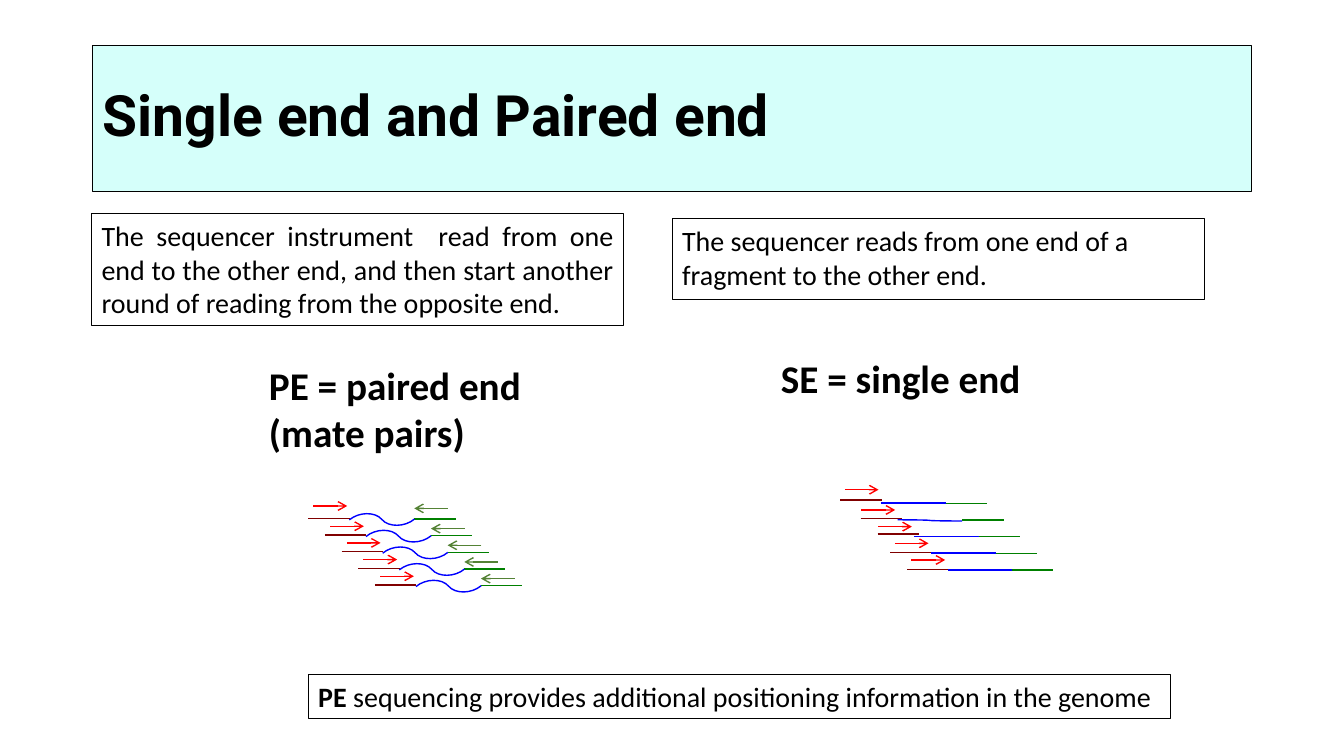
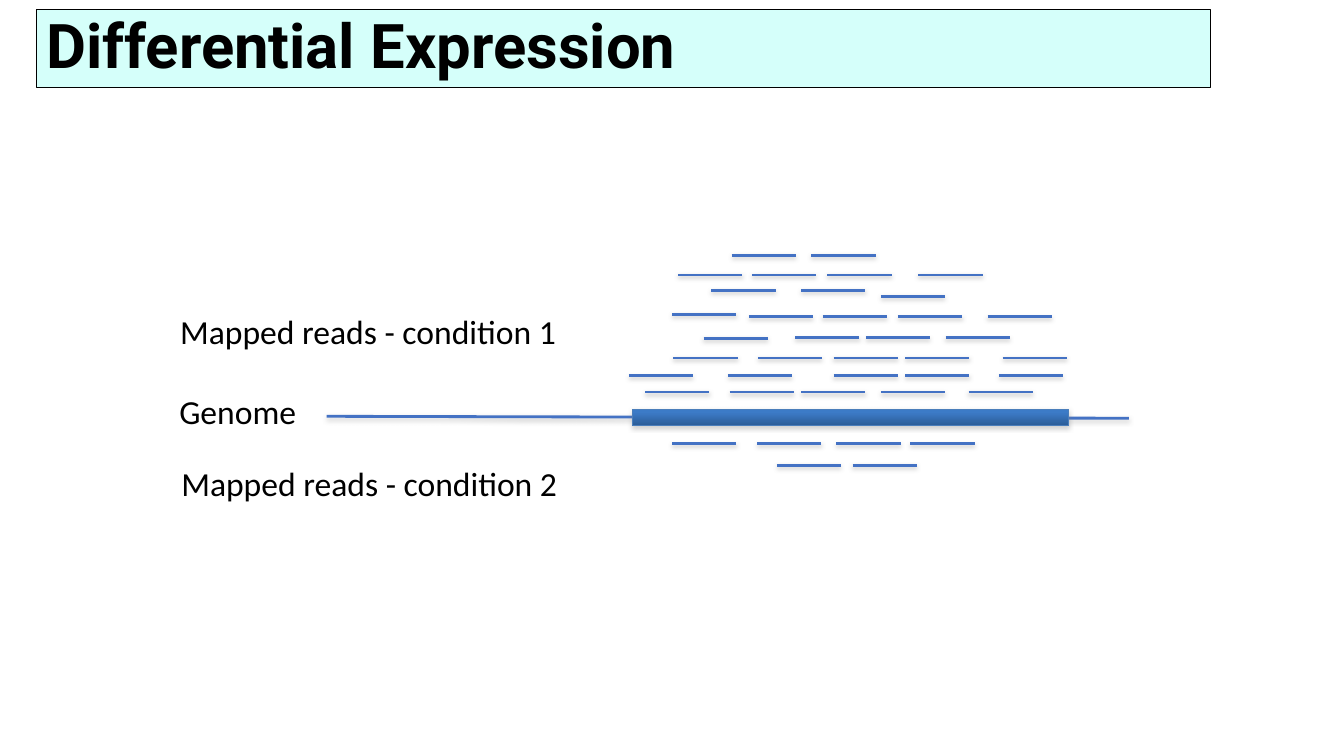
from dataclasses import dataclass
from typing import Any, NamedTuple, Optional

from lxml import etree
from pptx import Presentation, util as u
from pptx.dml.color import RGBColor
from pptx.enum import shapes, text
from pptx.oxml import ns


@dataclass(frozen=True)
class Theme:
    title_font: str = "Roboto"
    body_font: str = "Calibri"
    ink: str = "000000"
    band: str = "D5FFFA"
    left_end: str = "800000"
    right_end: str = "008000"
    insert: str = "0000FF"
    forward_read: str = "FF0000"
    reverse_read: str = "548235"
    mapped_read: str = "4472C4"
    gene_top: str = "3C7BC7"
    gene_bottom: str = "2C5D98"
    gene_edge: str = "4A7EBB"
    shadow: str = "808080"
    note_size: float = 20
    label_size: float = 24
    heading_size: float = 28
    outline: float = 0.75
    fragment_line: float = 1
    read_line: float = 2


class Box(NamedTuple):
    left: float
    top: float
    width: float
    height: float

    def lengths(self) -> list[u.Length]:
        return [u.Cm(value) for value in self]


@dataclass(frozen=True)
class Caption:
    box: Box
    lines: tuple[tuple[str, ...], ...]
    size: float
    bold: bool = False
    framed: bool = False
    wrap: bool = False
    align: text.PP_ALIGN = text.PP_ALIGN.LEFT


class Stroke(NamedTuple):
    x1: float
    y1: float
    x2: float
    y2: float
    color: str
    width: float
    curved: bool = False
    rotation: int = 0
    arrow: bool = False


class ReadRow(NamedTuple):
    y: float
    starts: tuple[float, ...]


THEME = Theme()
STEP = 0.42
END_LENGTH = 1.04
ARROW_LENGTH = 0.85
INSERT_LENGTH = 1.63
ARROW_LIFTS = (0.09, 0, 0, 0, 0)
SINGLE_LEFT_ENDS = ((21.18, 12.6), (21.69, 13.06), (22.12, 13.46), (22.43, 13.92), (22.86, 14.35))
READ_LENGTH = 1.62
READ_ROWS = (
    ReadRow(6.43, (18.44, 20.45)),
    ReadRow(6.93, (17.09, 18.95, 20.85, 23.14)),
    ReadRow(7.32, (17.93, 20.19)),
    ReadRow(7.47, (22.2,)),
    ReadRow(7.92, (16.94,)),
    ReadRow(7.98, (18.87, 20.73, 22.63, 24.89)),
    ReadRow(8.51, (20.04, 21.82, 23.83)),
    ReadRow(8.53, (17.73,)),
    ReadRow(9.02, (16.97, 19.1, 21.01, 22.81, 25.27)),
    ReadRow(9.47, (15.85, 18.34, 21.01, 22.81, 25.17)),
    ReadRow(9.88, (16.26, 18.39, 20.19, 22.2, 24.41)),
    ReadRow(11.18, (16.94, 19.08, 21.08, 22.94)),
    ReadRow(11.73, (19.58, 21.49)),
)
SEQUENCING_CAPTIONS = (
    Caption(Box(19.43, 8.81, 6.6, 1.45), (("SE = single end",),), THEME.heading_size, bold=True),
    Caption(Box(6.53, 8.99, 7.16, 2.64), (("PE = paired end",), ("(mate pairs)",)),
            THEME.heading_size, bold=True),
    Caption(Box(16.94, 5.51, 13.41, 2.03),
            (("The sequencer reads from one end of a fragment to the other end.",),),
            THEME.note_size, framed=True, wrap=True),
    Caption(Box(2.31, 5.38, 13.41, 2.82),
            (("The sequencer instrument  read from one end to the other end, "
              "and then start another round of reading from the opposite end.",),),
            THEME.note_size, framed=True, wrap=True, align=text.PP_ALIGN.JUSTIFY),
    Caption(Box(7.77, 16.99, 21.72, 1.12),
            (("PE", " sequencing provides additional positioning information in the genome"),),
            THEME.note_size, framed=True),
)
EXPRESSION_CAPTIONS = (
    Caption(Box(4.29, 7.72, 10.08, 1.28), (("Mapped reads - condition 1",),), THEME.label_size),
    Caption(Box(4.27, 9.73, 3.48, 1.28), (("Genome",),), THEME.label_size),
    Caption(Box(4.32, 11.53, 10.08, 1.28), (("Mapped reads - condition 2",),), THEME.label_size),
)


def rgb(color: str) -> RGBColor:
    return RGBColor.from_string(color)


def set_font(font: Any, name: str, size: float, bold: bool) -> None:
    font.name = name
    font.size = u.Pt(size)
    font.bold = bold
    font.color.rgb = rgb(THEME.ink)


def set_outline(shape: Any, color: str, width: float) -> None:
    shape.line.color.rgb = rgb(color)
    shape.line.width = u.Pt(width)


def add_titled_slide(deck: Any, title: str, box: Box, size: float) -> Any:
    slide = deck.slides.add_slide(deck.slide_layouts[5])
    band = slide.shapes.title
    band.left, band.top, band.width, band.height = box.lengths()
    band.fill.solid()
    band.fill.fore_color.rgb = rgb(THEME.band)
    set_outline(band, THEME.ink, THEME.outline)
    frame = band.text_frame
    frame.text = title
    frame.word_wrap = True
    frame.auto_size = text.MSO_AUTO_SIZE.NONE
    frame.vertical_anchor = text.MSO_ANCHOR.MIDDLE
    heading = frame.paragraphs[0]
    heading.alignment = text.PP_ALIGN.LEFT
    heading.line_spacing = 0.9
    set_font(heading.runs[0].font, THEME.title_font, size, True)
    return slide


def add_caption(slide: Any, caption: Caption) -> None:
    holder = slide.shapes.add_textbox(*caption.box.lengths())
    if caption.framed:
        set_outline(holder, THEME.ink, THEME.outline)
    frame = holder.text_frame
    frame.word_wrap = caption.wrap
    frame.auto_size = text.MSO_AUTO_SIZE.SHAPE_TO_FIT_TEXT
    for index, parts in enumerate(caption.lines):
        paragraph = frame.add_paragraph() if index else frame.paragraphs[0]
        paragraph.alignment = caption.align
        for position, part in enumerate(parts):
            run = paragraph.add_run()
            run.text = part
            lead_in = len(parts) > 1 and position == 0
            set_font(run.font, THEME.body_font, caption.size, caption.bold or lead_in)


def add_shadow(effects: Any, alpha: int, distance: float) -> None:
    shadow = etree.SubElement(effects, ns.qn("a:outerShdw"), blurRad=str(u.Pt(3.1)),
                              dist=str(u.Pt(distance)), dir="5400000", rotWithShape="0")
    color = etree.SubElement(shadow, ns.qn("a:srgbClr"), val=THEME.shadow)
    etree.SubElement(color, ns.qn("a:alpha"), val=str(alpha * 1000))


def add_stroke(canvas: Any, stroke: Stroke, shadow_alpha: Optional[int] = None) -> None:
    kind = shapes.MSO_CONNECTOR.CURVE if stroke.curved else shapes.MSO_CONNECTOR.STRAIGHT
    ends = [u.Cm(value) for value in stroke[:4]]
    connector = canvas.add_connector(kind, *ends)
    set_outline(connector, stroke.color, stroke.width)
    properties = connector.element.spPr
    if stroke.rotation:
        properties.find(ns.qn("a:xfrm")).set("rot", str(stroke.rotation * 60000))
    if stroke.arrow:
        etree.SubElement(properties.find(ns.qn("a:ln")), ns.qn("a:tailEnd"), type="arrow")
    effects = etree.SubElement(properties, ns.qn("a:effectLst"))
    if shadow_alpha:
        add_shadow(effects, shadow_alpha, 1.6)


def flat(x: float, y: float, length: float, color: str, arrow: bool = False) -> Stroke:
    return Stroke(x, y, x + length, y, color, THEME.fragment_line, arrow=arrow)


def paired_fragment(index: int, lift: float) -> list[Stroke]:
    shift = index * STEP
    insert_end, insert_start = 8.81 + shift, 10.44 + shift
    return [
        flat(insert_start, 13.08 + shift, END_LENGTH, THEME.right_end),
        Stroke(10.26 + shift, 13.61 + shift, 8.99 + shift, 12.57 + shift, THEME.insert,
               THEME.fragment_line, curved=True, rotation=320),
        flat(insert_end - END_LENGTH, 13.06 + shift, END_LENGTH, THEME.left_end),
        flat(insert_start + ARROW_LENGTH, 12.9 + shift - lift, -ARROW_LENGTH,
             THEME.reverse_read, arrow=True),
        flat(7.9 + shift, 12.84 + shift - lift, ARROW_LENGTH, THEME.forward_read, arrow=True),
    ]


def single_fragment(index: int, lift: float) -> list[Stroke]:
    shift = index * STEP
    x, y = 23.83 + shift, 12.68 + shift
    drop = 0.03 if index == 1 else 0
    return [
        flat(x, y, END_LENGTH, THEME.right_end),
        Stroke(x, y + drop, x - INSERT_LENGTH, y, THEME.insert, THEME.fragment_line, curved=True),
        flat(*SINGLE_LEFT_ENDS[index], END_LENGTH, THEME.left_end),
        flat(21.29 + shift, 12.43 + shift - lift, ARROW_LENGTH, THEME.forward_read, arrow=True),
    ]


def add_gene(slide: Any) -> None:
    gene = slide.shapes.add_shape(shapes.MSO_SHAPE.RECTANGLE, *Box(15.93, 10.31, 11, 0.41).lengths())
    gene.fill.gradient()
    gene.fill.gradient_angle = 270
    stops = ((0.2, THEME.gene_top), (1, THEME.gene_bottom))
    for stop, (position, color) in zip(gene.fill.gradient_stops, stops):
        stop.position = position
        stop.color.rgb = rgb(color)
    set_outline(gene, THEME.gene_edge, THEME.outline)
    gene.shadow.inherit = False
    add_shadow(gene.element.spPr.find(ns.qn("a:effectLst")), 35, 1.8)


def build_sequencing(deck: Any) -> None:
    slide = add_titled_slide(deck, "Single end and Paired end", Box(2.33, 1.14, 29.21, 3.68), 40.7)
    for fragment in (paired_fragment, single_fragment):
        canvas = slide.shapes.add_group_shape().shapes
        for index, lift in enumerate(ARROW_LIFTS):
            for stroke in fragment(index, lift):
                add_stroke(canvas, stroke)
    for caption in SEQUENCING_CAPTIONS:
        add_caption(slide, caption)


def build_expression(deck: Any) -> None:
    slide = add_titled_slide(deck, "Differential Expression", Box(0.91, 0.25, 29.59, 1.96), 44)
    genome = Stroke(8.23, 10.49, 28.45, 10.54, THEME.mapped_read, THEME.read_line)
    reads = [Stroke(x, row.y, x + READ_LENGTH, row.y, THEME.mapped_read, THEME.read_line)
             for row in READ_ROWS for x in row.starts]
    for stroke in (genome, *reads):
        add_stroke(slide.shapes, stroke, shadow_alpha=38)
    add_gene(slide)
    for caption in EXPRESSION_CAPTIONS:
        add_caption(slide, caption)


def main() -> None:
    deck = Presentation()
    deck.slide_width, deck.slide_height = u.Cm(33.87), u.Cm(19.05)
    build_sequencing(deck)
    build_expression(deck)
    deck.save("out.pptx")


if __name__ == "__main__":
    main()
